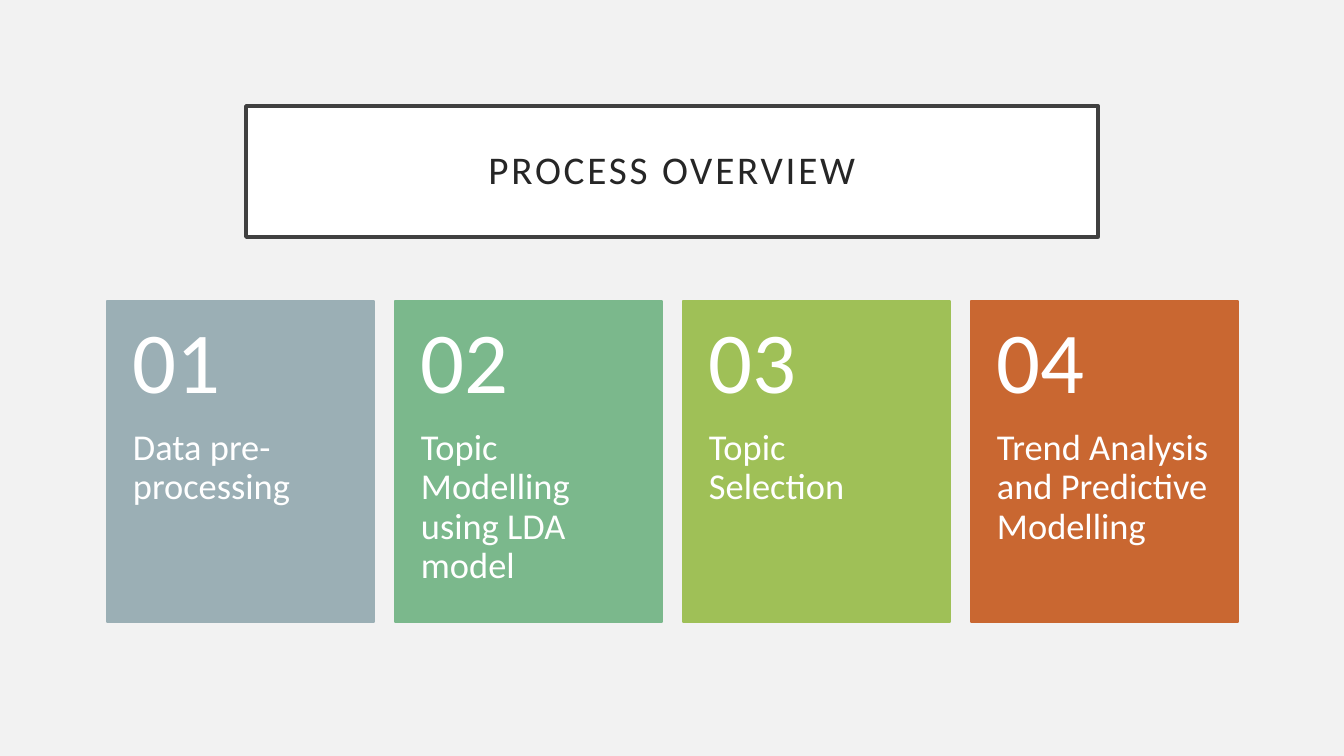
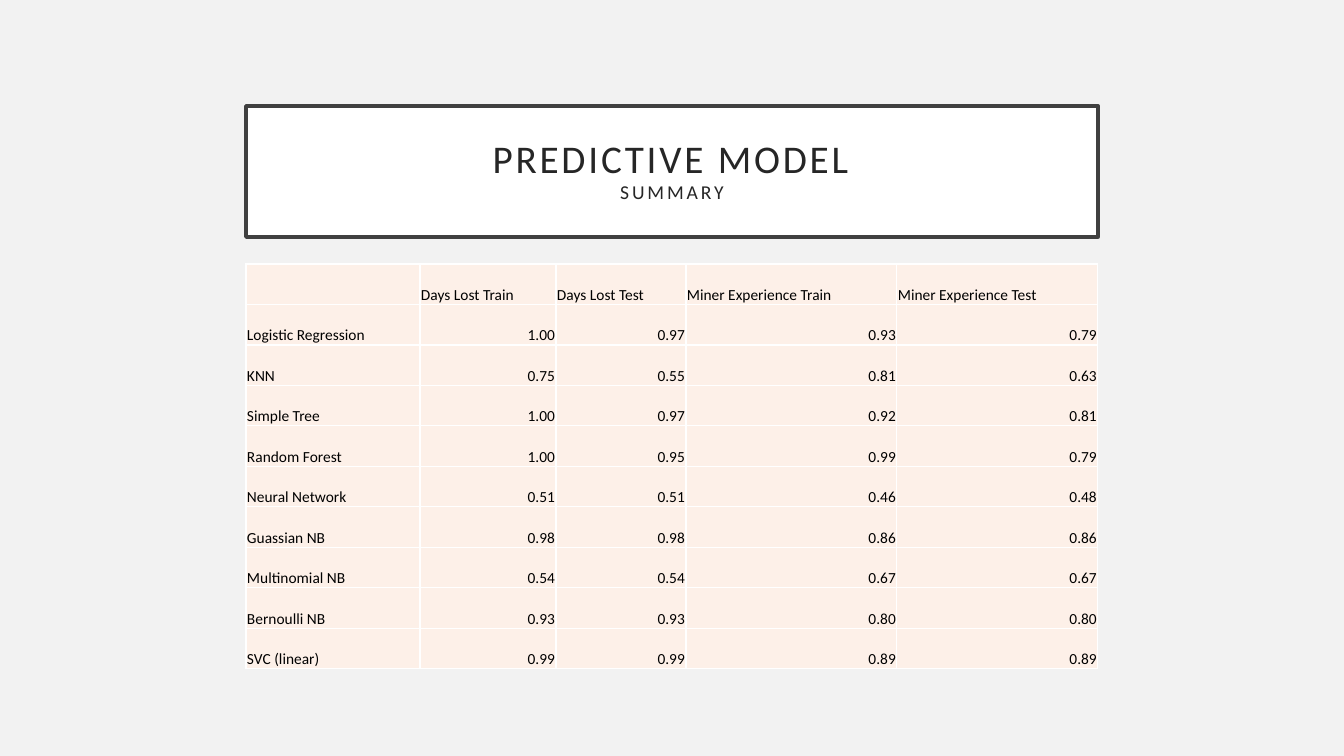
import pptx
import pptx.dml.color
import pptx.enum.shapes
import pptx.enum.text
import pptx.oxml
import pptx.oxml.ns
import pptx.util

EMU_PER_PX = 12192000 / 1344
FONT = "Calibri"
BACKGROUND = "F2F2F2"
WHITE = "FFFFFF"
BLACK = "000000"
TITLE_TEXT = "262626"
TITLE_BORDER = "404040"
TABLE_FILL = "FDF0E8"
TITLE_BOX = (246, 106, 852, 131)

CARDS = [
    ("Data pre-processing", "9BAFB5"),
    ("Topic Modelling using LDA model", "7BB88C"),
    ("Topic Selection", "9FC057"),
    ("Trend Analysis and Predictive Modelling", "C96731"),
]
CARD_LEFT, CARD_TOP, CARD_WIDTH, CARD_HEIGHT = 107, 301, 267, 321
CARD_PITCH = 288
NUMBER_HEIGHT = 128

TABLE_BOX = (246, 264, 852, 405)
COLUMN_WIDTHS = [174, 136, 130, 211, 201]
SCORES = [
    ("", "Days Lost Train", "Days Lost Test", "Miner Experience Train", "Miner Experience Test"),
    ("Logistic Regression", "1.00", "0.97", "0.93", "0.79"),
    ("KNN", "0.75", "0.55", "0.81", "0.63"),
    ("Simple Tree", "1.00", "0.97", "0.92", "0.81"),
    ("Random Forest", "1.00", "0.95", "0.99", "0.79"),
    ("Neural Network", "0.51", "0.51", "0.46", "0.48"),
    ("Guassian NB", "0.98", "0.98", "0.86", "0.86"),
    ("Multinomial NB", "0.54", "0.54", "0.67", "0.67"),
    ("Bernoulli NB", "0.93", "0.93", "0.80", "0.80"),
    ("SVC (linear)", "0.99", "0.99", "0.89", "0.89"),
]


def px(length):
    return pptx.util.Emu(round(length * EMU_PER_PX))


def color(value):
    return pptx.dml.color.RGBColor.from_string(value)


def set_fill(target, value):
    target.fill.solid()
    target.fill.fore_color.rgb = color(value)


def set_line(shape, value, width):
    shape.line.color.rgb = color(value)
    shape.line.width = pptx.util.Pt(width)


def set_font(paragraph, size, value):
    paragraph.font.name = FONT
    paragraph.font.size = pptx.util.Pt(size)
    paragraph.font.bold = False
    paragraph.font.color.rgb = color(value)


def set_margins(target, left, top, right, bottom):
    target.margin_left, target.margin_top = px(left), px(top)
    target.margin_right, target.margin_bottom = px(right), px(bottom)


def add_slide(presentation, title, subtitle=None):
    slide = presentation.slides.add_slide(presentation.slide_layouts.get_by_name("Title Only"))
    shape = slide.shapes.title
    shape.left, shape.top, shape.width, shape.height = map(px, TITLE_BOX)
    set_fill(shape, WHITE)
    set_line(shape, TITLE_BORDER, 2.5)
    frame = shape.text_frame
    frame.auto_size = pptx.enum.text.MSO_AUTO_SIZE.NONE
    frame.vertical_anchor = pptx.enum.text.MSO_ANCHOR.MIDDLE
    set_margins(frame, 20, 20, 20, 20)
    paragraph = frame.paragraphs[0]
    paragraph.alignment = pptx.enum.text.PP_ALIGN.CENTER
    paragraph.line_spacing = 0.9
    set_font(paragraph, 28, TITLE_TEXT)
    paragraph.add_run().text = title
    if subtitle:
        paragraph.add_line_break()
        run = paragraph.add_run()
        run.text = subtitle
        run.font.size = pptx.util.Pt(14)
    for run in paragraph.runs:
        run.font._element.set("spc", "200")
    return slide


def add_text(slide, box, text, size, anchor, margins):
    frame = slide.shapes.add_textbox(*map(px, box)).text_frame
    frame.word_wrap = True
    frame.vertical_anchor = anchor
    set_margins(frame, *margins)
    paragraph = frame.paragraphs[0]
    paragraph.text = text
    paragraph.line_spacing = 0.9
    set_font(paragraph, size, WHITE)


def add_card(slide, index, label, fill):
    left = CARD_LEFT + index * CARD_PITCH
    card = slide.shapes.add_shape(
        pptx.enum.shapes.MSO_SHAPE.RECTANGLE,
        *map(px, (left, CARD_TOP, CARD_WIDTH, CARD_HEIGHT)),
    )
    card.shadow.inherit = False
    set_fill(card, fill)
    set_line(card, fill, 1)
    number_box = (left, CARD_TOP, CARD_WIDTH, NUMBER_HEIGHT)
    label_box = (left, CARD_TOP + NUMBER_HEIGHT, CARD_WIDTH, CARD_HEIGHT - NUMBER_HEIGHT)
    anchors = pptx.enum.text.MSO_ANCHOR
    add_text(slide, number_box, f"{index + 1:02d}", 62, anchors.MIDDLE, (26, 18, 26, 18))
    add_text(slide, label_box, label, 26, anchors.TOP, (26, 0, 26, 36))


def set_borders(cell, value, width):
    properties = cell._tc.get_or_add_tcPr()
    for side in ("lnL", "lnR", "lnT", "lnB"):
        properties.append(pptx.oxml.parse_xml(
            f'<a:{side} {pptx.oxml.ns.nsdecls("a")} w="{pptx.util.Pt(width)}">'
            f'<a:solidFill><a:srgbClr val="{value}"/></a:solidFill></a:{side}>'
        ))


def fill_cell(cell, text, alignment):
    set_borders(cell, WHITE, 1)
    set_fill(cell, TABLE_FILL)
    set_margins(cell, 1, 1, 1, 0)
    cell.vertical_anchor = pptx.enum.text.MSO_ANCHOR.BOTTOM
    paragraph = cell.text_frame.paragraphs[0]
    paragraph.text = text
    paragraph.alignment = alignment
    set_font(paragraph, 11, BLACK)


def add_score_table(slide):
    table = slide.shapes.add_table(len(SCORES), len(COLUMN_WIDTHS), *map(px, TABLE_BOX)).table
    table.first_row = False
    table.horz_banding = False
    for column, width in zip(table.columns, COLUMN_WIDTHS):
        column.width = px(width)
    alignments = pptx.enum.text.PP_ALIGN
    for row, texts in enumerate(SCORES):
        for column, text in enumerate(texts):
            alignment = alignments.RIGHT if row and column else alignments.LEFT
            fill_cell(table.cell(row, column), text, alignment)


def main():
    presentation = pptx.Presentation()
    presentation.slide_width, presentation.slide_height = px(1344), px(756)
    set_fill(presentation.slide_master.background, BACKGROUND)

    overview = add_slide(presentation, "PROCESS OVERVIEW")
    for index, (label, fill) in enumerate(CARDS):
        add_card(overview, index, label, fill)

    summary = add_slide(presentation, "PREDICTIVE MODEL", "SUMMARY")
    add_score_table(summary)

    presentation.save("out.pptx")


if __name__ == "__main__":
    main()
